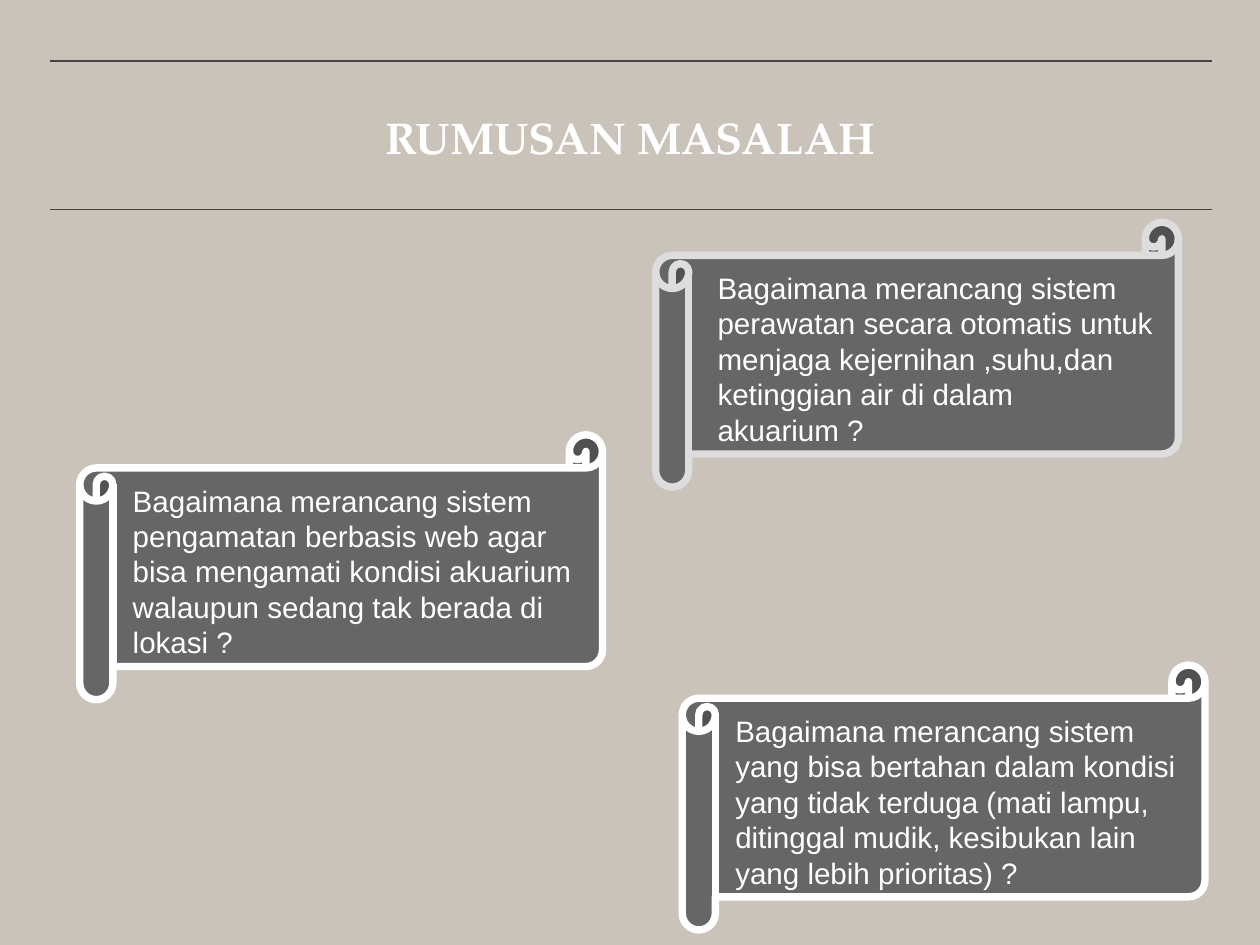
"""Build the problem-statement slide: a ruled title and three question scrolls."""
from dataclasses import dataclass

import lxml.etree
import pptx
import pptx.dml.color
import pptx.enum.shapes
import pptx.enum.text
import pptx.oxml.ns
import pptx.util
from pptx.util import Inches


@dataclass(frozen=True)
class Theme:
    background: str = "C9C3BA"
    rule: str = "444444"
    scroll: str = "666666"
    white: str = "FFFFFF"
    pale: str = "DDDDDD"
    title_font: str = "TeX Gyre Pagella"
    body_font: str = "Arial"
    title_size: int = 36
    body_size: int = 24
    rule_width: int = 1
    scroll_border: int = 6


theme = Theme()


def rgb(value):
    return pptx.dml.color.RGBColor.from_string(value)


def write_text(text, *, shape, font, size, bold=False, align="LEFT", anchor="TOP", inset=(0.1, 0.05)):
    frame = shape.text_frame
    frame.word_wrap = True
    frame.auto_size = pptx.enum.text.MSO_AUTO_SIZE.NONE
    frame.vertical_anchor = getattr(pptx.enum.text.MSO_ANCHOR, anchor)
    frame.margin_left = frame.margin_right = Inches(inset[0])
    frame.margin_top = frame.margin_bottom = Inches(inset[1])
    paragraph = frame.paragraphs[0]
    paragraph.alignment = getattr(pptx.enum.text.PP_ALIGN, align)
    run = paragraph.add_run()
    run.text = text
    run.font.name = font
    run.font.size = pptx.util.Pt(size)
    run.font.bold = bold
    run.font.color.rgb = rgb(theme.white)


presentation = pptx.Presentation()
presentation.slide_width = Inches(14.22)
presentation.slide_height = Inches(10.67)
slide = presentation.slides.add_slide(presentation.slide_layouts.get_by_name("Title Only"))
slide.background.fill.solid()
slide.background.fill.fore_color.rgb = rgb(theme.background)

for rule_top in (0.69, 2.37):
    rule = slide.shapes.add_connector(
        pptx.enum.shapes.MSO_CONNECTOR.STRAIGHT,
        Inches(0.56), Inches(rule_top), Inches(13.68), Inches(rule_top),
    )
    rule.line.color.rgb = rgb(theme.rule)
    rule.line.width = pptx.util.Pt(theme.rule_width)
    properties = rule._element.spPr
    lxml.etree.SubElement(properties, pptx.oxml.ns.qn("a:effectLst"))

title = slide.shapes.title
title.left, title.top = Inches(0.56), Inches(1.24)
title.width, title.height = Inches(13.11), Inches(0.6)
write_text("RUMUSAN MASALAH", shape=title, font=theme.title_font, size=theme.title_size,
           bold=True, align="CENTER", anchor="MIDDLE", inset=(0, 0))

questions = [
    (7.7, 7.51, 0.5, 5.4, theme.white,
     "Bagaimana merancang sistem yang bisa bertahan dalam kondisi yang tidak terduga "
     "(mati lampu, ditinggal mudik, kesibukan lain yang lebih prioritas) ?"),
    (0.9, 4.91, 0.5, 5.2, theme.white,
     "Bagaimana merancang sistem pengamatan berbasis web agar bisa mengamati kondisi "
     "akuarium walaupun sedang tak berada di lokasi ?"),
    (7.4, 2.51, 0.6, 5.2, theme.pale,
     "Bagaimana merancang sistem perawatan secara otomatis untuk menjaga kejernihan "
     ",suhu,dan ketinggian air di dalam akuarium ?"),
]
for left, top, indent, text_width, border, question in questions:
    scroll = slide.shapes.add_shape(
        pptx.enum.shapes.MSO_SHAPE.HORIZONTAL_SCROLL,
        Inches(left), Inches(top), Inches(5.9), Inches(2.99),
    )
    scroll.adjustments[0] = 0.125
    scroll.shadow.inherit = False
    scroll.fill.solid()
    scroll.fill.fore_color.rgb = rgb(theme.scroll)
    scroll.line.color.rgb = rgb(border)
    scroll.line.width = pptx.util.Pt(theme.scroll_border)
    question_box = slide.shapes.add_textbox(
        Inches(left + indent), Inches(top + 0.49), Inches(text_width), Inches(2.1)
    )
    write_text(question, shape=question_box, font=theme.body_font, size=theme.body_size)

presentation.save("out.pptx")
